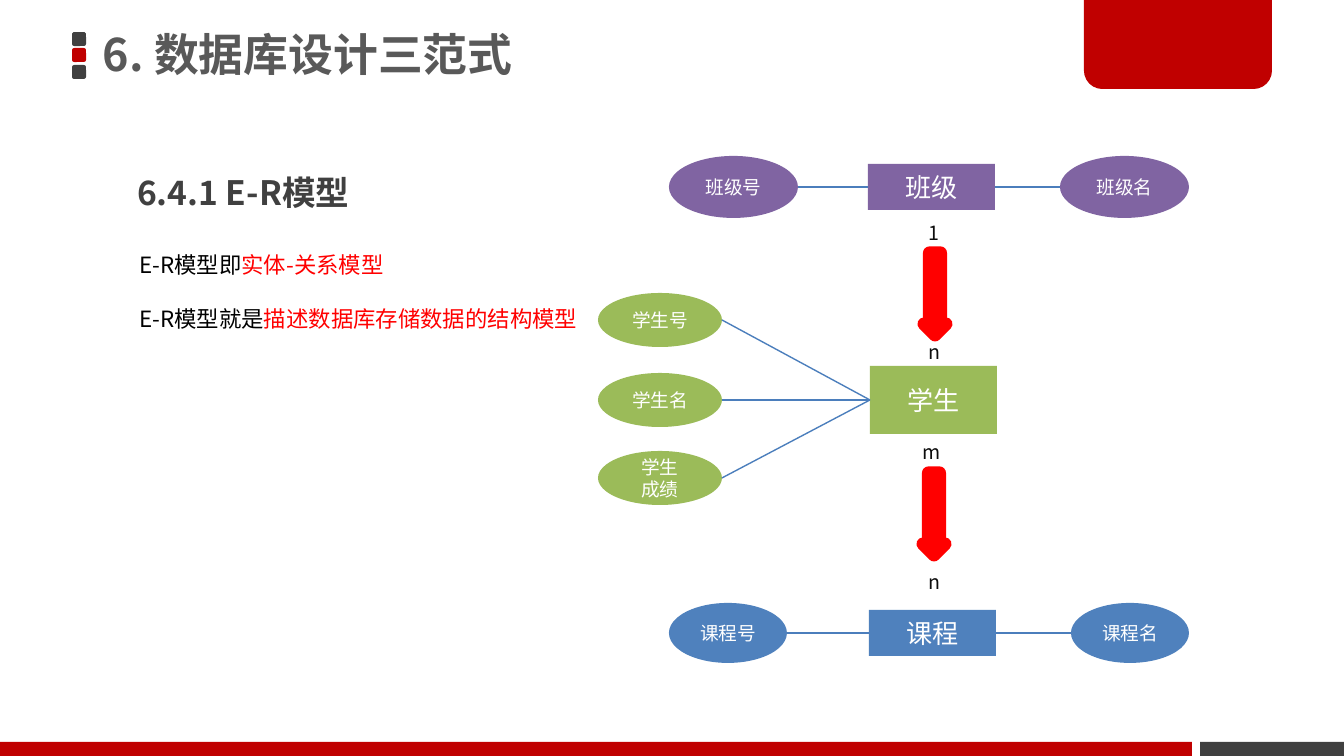
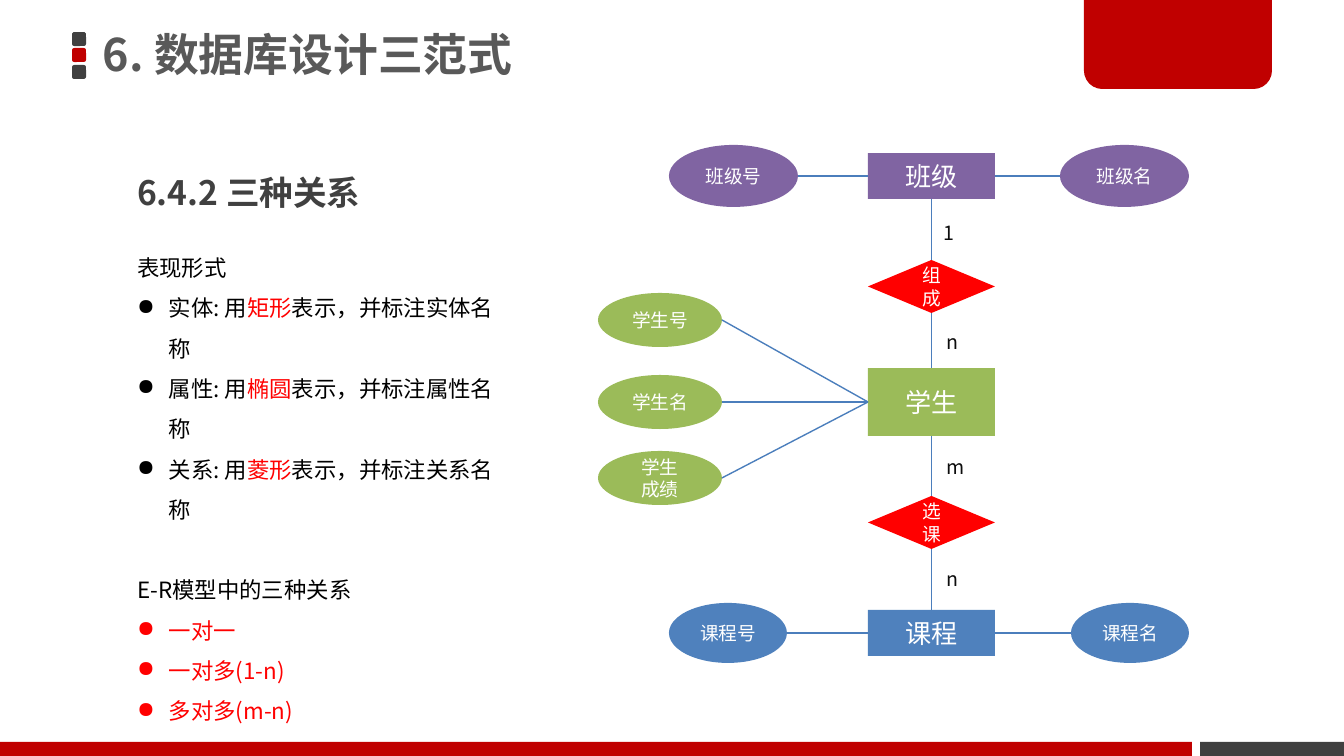
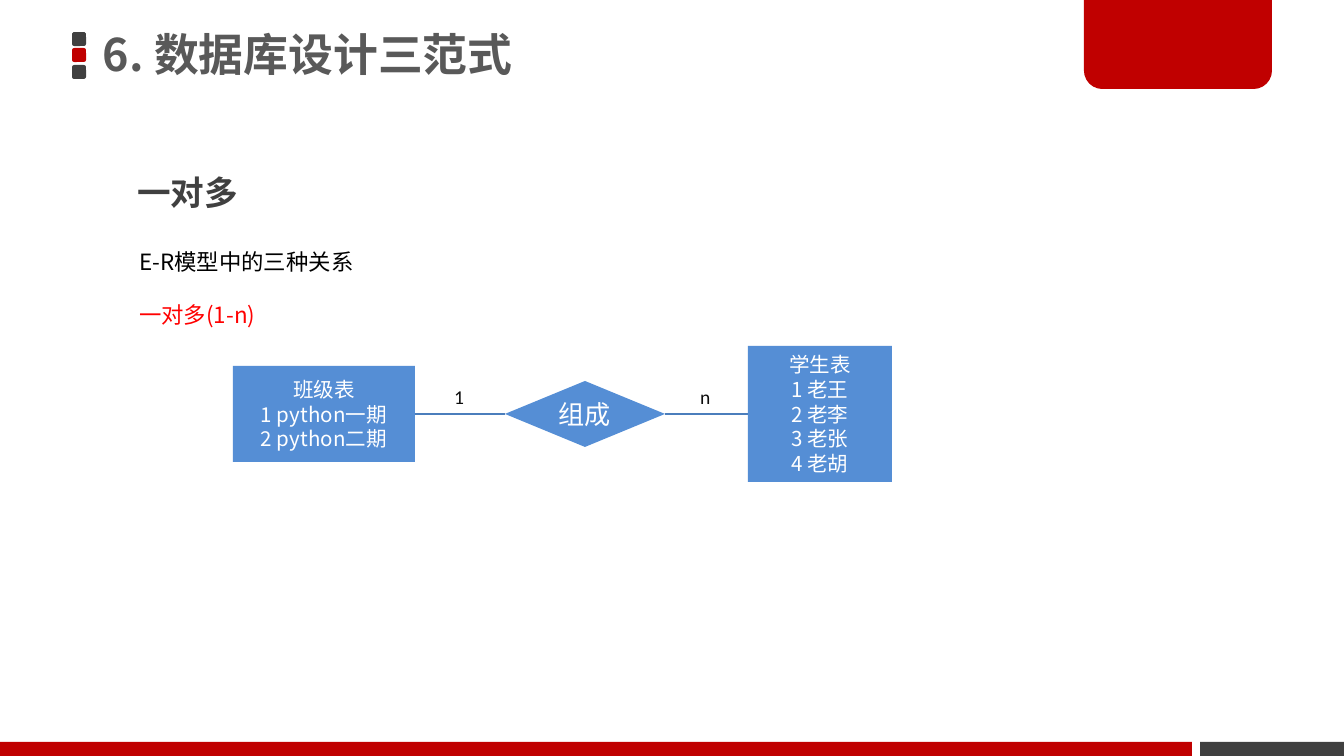
import pptx
import pptx.util
import pptx.dml.color
import pptx.enum.shapes
import pptx.enum.text
import pptx.oxml.ns
import lxml.etree

PX = 9144000 / 1344
Kind = pptx.enum.shapes.MSO_SHAPE
Align = pptx.enum.text.PP_ALIGN
Anchor = pptx.enum.text.MSO_ANCHOR
rgb = pptx.dml.color.RGBColor.from_string
qn = pptx.oxml.ns.qn


class Theme:
    sans, latin = "Noto Sans CJK SC", "Calibri"
    crimson, dark, grey = "C00000", "404040", "595959"
    red, white, black, ink = "FF0000", "FFFFFF", "000000", "0D0D0D"
    purple, green, blue, sky, wire = "8064A2", "9BBB59", "4F81BD", "558ED5", "4B7EBC"
    title, head, entity, body, table, label, small = 24, 18, 14, 12, 11, 10.5, 10


def put(page, kind, box, fill=None, lines=(), size=Theme.small, color=Theme.white,
        font=Theme.sans, bold=False, lead=None, gaps=None):
    """Add a filled shape, or a text box if kind is None.

    In a line, *stars* mark red words and a leading ● makes a bullet;
    gaps maps a line number to the points of space before it.
    """
    area = [round(n * PX) for n in box]
    if kind is None:
        item = page.shapes.add_textbox(*area)
        item.text_frame.auto_size = pptx.enum.text.MSO_AUTO_SIZE.SHAPE_TO_FIT_TEXT
    else:
        item = page.shapes.add_shape(kind, *area)
        item.shadow.inherit = False
        item.fill.solid()
        item.fill.fore_color.rgb = rgb(fill)
        item.line.fill.background()
    frame = item.text_frame
    frame.word_wrap = True
    for i, line in enumerate(lines):
        para = frame.add_paragraph() if i else frame.paragraphs[0]
        props = para._p.get_or_add_pPr()
        if line.startswith("●"):
            line = line[1:]
            props.set("marL", "214313")
            props.set("indent", "-214313")
            lxml.etree.SubElement(props, qn("a:buChar")).set("char", "●")
        para.alignment = Align.LEFT if kind is None else Align.CENTER
        if lead:
            para.line_spacing = lead
        if gaps and i in gaps:
            para.space_before = pptx.util.Pt(gaps[i])
        parts = [(text, Theme.red if n % 2 else color)
                 for n, text in enumerate(line.split("*")) if text]
        base = parts[0][1]
        para.font.size = pptx.util.Pt(size)
        para.font.bold = bold
        para.font.color.rgb = rgb(base)
        para.font.name = font
        lxml.etree.SubElement(props.find(qn("a:defRPr")), qn("a:ea")).set("typeface", Theme.sans)
        for text, tint in parts:
            run = para.add_run()
            run.text = text
            if tint != base:
                run.font.color.rgb = rgb(tint)
    return item


def wire(page, a, i, b, j):
    """Join side i of a to side j of b; an ellipse only gives the point."""
    x, y = a.left + (a.width if i == 3 else 0), a.top + a.height // 2
    line = page.shapes.add_connector(pptx.enum.shapes.MSO_CONNECTOR.STRAIGHT, x, y, x, y)
    if a.auto_shape_type != Kind.OVAL:
        line.begin_connect(a, i)
    line.end_connect(b, j)
    line.line.color.rgb = rgb(Theme.wire)
    line.line.width = pptx.util.Pt(0.75)
    lxml.etree.SubElement(line._element.spPr, qn("a:effectLst"))


deck = pptx.Presentation()
deck.slide_width, deck.slide_height = round(1344 * PX), round(756 * PX)

# Frame, title and heading of every slide
pages = []
for head in ("6.4.1 E-R模型", "6.4.2 三种关系", "一对多"):
    page = deck.slides.add_slide(deck.slide_layouts[6])
    pages.append(page)
    for i, fill in enumerate((Theme.dark, Theme.crimson, Theme.dark)):
        put(page, Kind.ROUNDED_RECTANGLE, (72, 32 + 33 * i // 2, 14, 14), fill)
    put(page, Kind.RECTANGLE, (1200, 742, 144, 14), Theme.dark)
    put(page, Kind.RECTANGLE, (0, 742, 1192, 14), Theme.crimson)
    tab = put(page, Kind.ROUND_2_SAME_RECTANGLE, (1084, -3, 188, 92), Theme.crimson)
    tab.adjustments[0], tab.adjustments[1] = 0, 0.2
    title = put(page, None, (93, -3, 792, 120), lines=["6. 数据库设计三范式"],
                size=Theme.title, color=Theme.grey, bold=True, lead=0.9)
    frame = title.text_frame
    frame.auto_size = pptx.enum.text.MSO_AUTO_SIZE.NONE
    frame.vertical_anchor = Anchor.MIDDLE
    frame.margin_left = frame.margin_right = round(10 * PX)
    frame.margin_top = frame.margin_bottom = round(5 * PX)
    put(page, None, (124, 145, 516, 67), lines=[head], size=Theme.head,
        color=Theme.dark, bold=True, lead=1.5)
model, kinds, many = pages

# Body text
put(model, None, (126, 245, 474, 95), size=Theme.body, color=Theme.black, gaps={1: 14.4},
    lines=["E-R模型即*实体-关系模型*", "E-R模型就是*描述数据库存储数据的结构模型*"])
put(kinds, None, (124, 234, 395, 375), size=Theme.body, color=Theme.black, lead=1.5, gaps={4: 21.6},
    lines=["表现形式",
           "●实体: 用*矩形*表示，并标注实体名称",
           "●属性: 用*椭圆*表示，并标注属性名称",
           "●关系: 用*菱形*表示，并标注关系名称",
           "E-R模型中的三种关系",
           "●*一对一*", "●*一对多(1-n)*", "●*多对多(m-n)*"])
put(many, None, (126, 241, 246, 95), size=Theme.body, color=Theme.black, gaps={1: 14.4},
    lines=["E-R模型中的三种关系", "*一对多(1-n)*"])

# Entities and their attributes: left edges, then middle heights
plans = (
    (model, (868, 870, 869), (187, 400, 633),
     (("1", 915, 214), ("n", 915, 333), ("m", 909, 433), ("n", 915, 563))),
    (kinds, (868, 868, 868), (176, 402, 633),
     (("1", 930, 214), ("n", 933, 323), ("m", 933, 448), ("n", 933, 560))),
)
chains = []
for page, lefts, mids, marks in plans:
    top, mid, low = mids
    chain = []
    for name, x, y, high, fill in zip(("班级", "学生", "课程"), lefts, mids, (46, 68, 46),
                                      (Theme.purple, Theme.green, Theme.blue)):
        chain.append(put(page, Kind.RECTANGLE, (x, y - high // 2, 127, high), fill, [name], Theme.entity))
    chains.append(chain)
    for name, x, y, wide, high, owner, fill in (
            ("班级号", 669, top, 129, 62, 0, Theme.purple),
            ("班级名", 1060, top, 129, 62, 0, Theme.purple),
            ("学生号", 598, 320, 124, 54, 1, Theme.green),
            ("学生名", 598, mid, 124, 54, 1, Theme.green),
            ("学生/成绩", 598, 478, 124, 54, 1, Theme.green),
            ("课程号", 669, low, 118, 60, 2, Theme.blue),
            ("课程名", 1071, low, 118, 60, 2, Theme.blue)):
        oval = put(page, Kind.OVAL, (x, y - high // 2, wide, high), fill, name.split("/"))
        out, back = (3, 1) if x < 868 else (1, 3)
        wire(page, oval, out, chain[owner], back)
    for text, x, y in marks:
        put(page, None, (x, y, 46 if text == "m" else 39, 38), lines=[text],
            size=Theme.label, color=Theme.ink)

# Red arrows between the entities
for x, y in ((924, 253), (923, 473)):
    arrow = put(model, Kind.DOWN_ARROW, (x, y, 22, 82), Theme.green)
    arrow.line.color.rgb = rgb(Theme.red)
    arrow.line.width = pptx.util.Pt(7)

# Diamonds between the entities
chain = chains[1]
for i, (name, y) in enumerate((("组成", 260), ("选课", 496))):
    link = put(kinds, Kind.DIAMOND, (868, y, 127, 53), Theme.red, [name], font=Theme.latin)
    wire(kinds, chain[i], 2, link, 0)
    wire(kinds, link, 2, chain[i + 1], 0)

# One class, many students
group = put(many, Kind.RECTANGLE, (233, 366, 182, 96), Theme.sky,
            ["班级表", "1 python一期", "2 python二期"], Theme.table)
pupils = put(many, Kind.RECTANGLE, (748, 346, 144, 136), Theme.sky,
             ["学生表", "1 老王", "2 老李", "3 老张", "4 老胡"], Theme.table)
link = put(many, Kind.DIAMOND, (505, 381, 160, 66), Theme.sky, ["组成"], Theme.entity, font=Theme.latin)
wire(many, group, 3, link, 1)
wire(many, link, 3, pupils, 1)
for text, x in (("1", 441), ("n", 687)):
    put(many, None, (x, 378, 38, 38), lines=[text], size=Theme.label, color=Theme.ink, font=Theme.latin)

deck.save("out.pptx")
